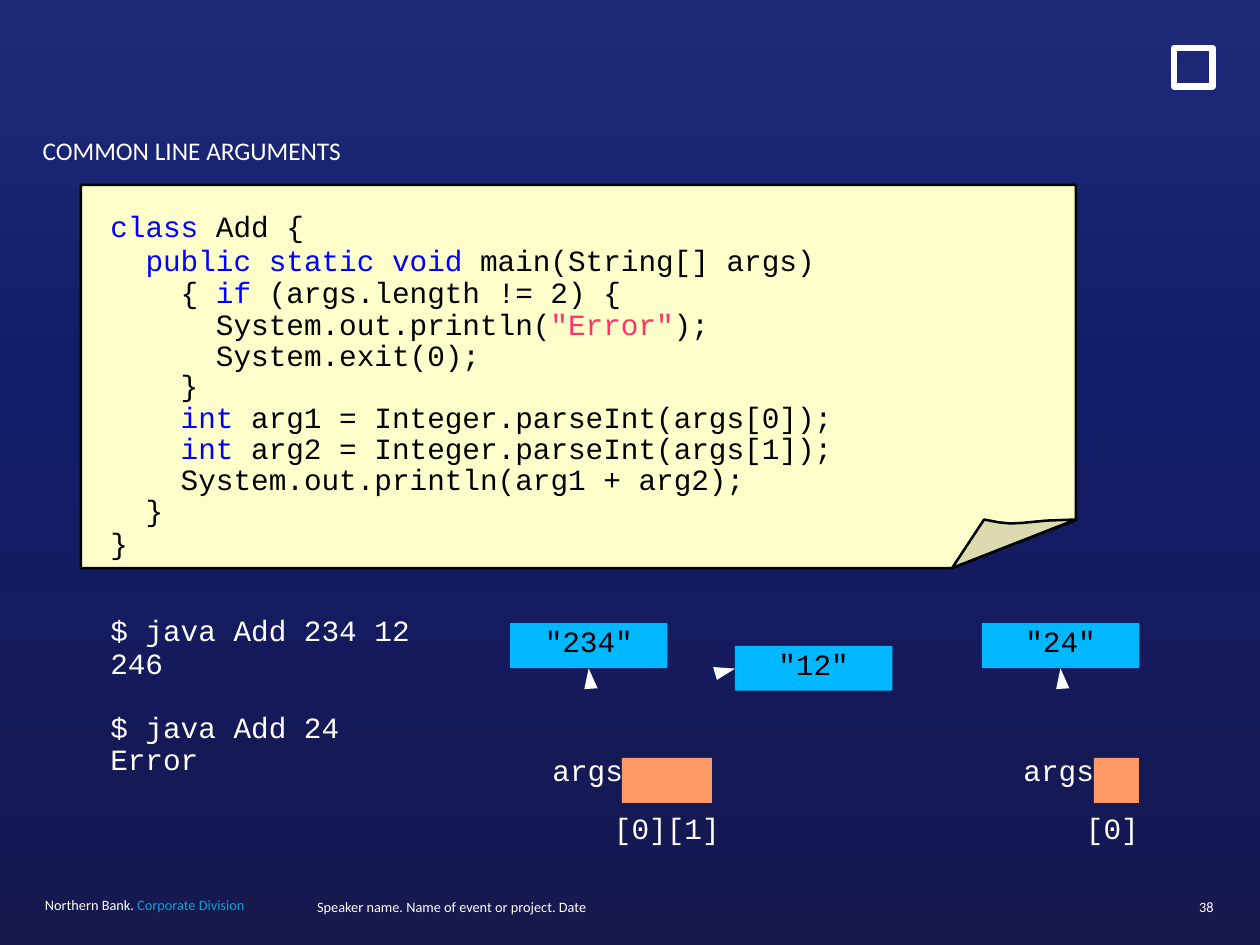
from copy import deepcopy
from pptx import Presentation
from pptx.dml.color import RGBColor
from pptx.enum.shapes import MSO_SHAPE
from pptx.enum.text import MSO_ANCHOR, PP_ALIGN
from pptx.util import Pt

WHITE = RGBColor(0xFF, 0xFF, 0xFF)
BLACK = RGBColor(0x00, 0x00, 0x00)
KEYWORD = RGBColor(0x00, 0x00, 0xFF)
STRING = RGBColor(0xFF, 0x33, 0x66)
LIGHT_BLUE = RGBColor(0x00, 0xA3, 0xE0)
PAPER = RGBColor(0xFF, 0xFF, 0xCC)
FOLD = RGBColor(0xDB, 0xDB, 0xAF)
VALUE = RGBColor(0x00, 0xB8, 0xFF)
CELL = RGBColor(0xFF, 0x99, 0x66)
BACKGROUND = [
    (0, RGBColor(0x16, 0x18, 0x4E)),
    (0.6, RGBColor(0x12, 0x1D, 0x69)),
    (1, RGBColor(0x1E, 0x2A, 0x78)),
]
SANS, MONO = "Calibri", "Courier New"
CODE_SIZE = 18.5
CELL_SIZE = 28.35

TITLE = "COMMON LINE ARGUMENTS"
CODE = [
    (20, [("class ", KEYWORD), ("Add {", BLACK)]),
    (21.3, [("  public static void ", KEYWORD), ("main(String[] args)", BLACK)]),
    (19.9, [("    { ", BLACK), ("if ", KEYWORD), ("(args.length != 2) {", BLACK)]),
    (20, [("      System.out.println(", BLACK), ('"Error"', STRING), (");", BLACK)]),
    (19.9, [("      System.exit(0);", BLACK)]),
    (18.5, [("    }", BLACK)]),
    (20.2, [("    int ", KEYWORD), ("arg1 = Integer.parseInt(args[0]);", BLACK)]),
    (19.7, [("    int ", KEYWORD), ("arg2 = Integer.parseInt(args[1]);", BLACK)]),
    (19.7, [("    System.out.println(arg1 + arg2);", BLACK)]),
    (19.2, [("  }", BLACK)]),
    (20.8, [("}", BLACK)]),
]
SESSIONS = [
    (386.6, 21.1, ["$ java Add 234 12", "246"]),
    (449, 20, ["$ java Add 24", "Error"]),
]
FOOTER = [("Northern Bank. ", WHITE), ("Corporate Division", LIGHT_BLUE)]
EVENT = "Speaker name. Name of event or project. Date"
PAGE = "38"

PAGE_OUTLINE = [(677.7, 327.6), (677.7, 116.5), (51, 116.5), (51, 357.8), (599.8, 357.8)]
FOLD_OUTLINE = [(677.7, 327.3), (659, 328), (644.4, 329.4), (636.5, 329.8),
                (629.3, 329.1), (619.9, 327.3), (599.8, 357.8)]
ARRAYS = [(391.8, 347.3, "[0][1]"), (689.1, 644, "[0]")]
VALUES = [('"234"', 321.3, 392.6), ('"12"', 462.9, 406.8), ('"24"', 618.5, 392.6)]
ARROWHEADS = [
    [(376.4, 433.6), (370.8, 421), (368.1, 434.1)],
    [(463, 421.2), (449.2, 420.2), (451.6, 428.3)],
    [(673.6, 433.6), (668, 421), (665.3, 434.1)],
]

prs = Presentation()
prs.slide_width, prs.slide_height = Pt(793.7), Pt(595.28)
s = prs.slides.add_slide(prs.slide_layouts[6])


def fill_text(tf, lines, size, font, align=PP_ALIGN.LEFT):
    tf.margin_left = tf.margin_right = tf.margin_top = tf.margin_bottom = 0
    tf.vertical_anchor = MSO_ANCHOR.TOP
    for i, (spacing, line) in enumerate(lines):
        p = tf.add_paragraph() if i else tf.paragraphs[0]
        p.alignment = align
        p.font.size, p.font.name = Pt(size), font
        p.line_spacing = Pt(spacing) if spacing > 1 else spacing
        for text, color in line:
            r = p.add_run()
            r.text = text
            r.font.color.rgb = color


def add_text(x, y, w, h, lines, size=CODE_SIZE, font=MONO, align=PP_ALIGN.LEFT):
    sp = s.shapes.add_textbox(Pt(x), Pt(y), Pt(w), Pt(h))
    sp.text_frame.word_wrap = True
    fill_text(sp.text_frame, lines, size, font, align)


def paint(sp, color, outline=None, width=1.6):
    sp.shadow.inherit = False
    if color is None:
        sp.fill.background()
    else:
        sp.fill.solid()
        sp.fill.fore_color.rgb = color
    if outline is None:
        sp.line.fill.background()
    else:
        sp.line.color.rgb = outline
        sp.line.width = Pt(width)


def add_rect(x, y, w, h, color, *outline):
    sp = s.shapes.add_shape(MSO_SHAPE.RECTANGLE, Pt(x), Pt(y), Pt(w), Pt(h))
    paint(sp, color, *outline)
    return sp


def add_polygon(points, color, outline=None):
    corners = [(Pt(x), Pt(y)) for x, y in points]
    builder = s.shapes.build_freeform(*corners[0])
    builder.add_line_segments(corners[1:], close=True)
    paint(builder.convert_to_shape(), color, outline)


fill = s.background.fill
fill.gradient()
fill.gradient_angle = 90
first = fill.gradient_stops[0]._gs
first.addnext(deepcopy(first))
for stop, (position, color) in zip(fill.gradient_stops, BACKGROUND):
    stop.position = position
    stop.color.rgb = color

add_rect(739.5, 30.3, 24.3, 24.3, None, WHITE, 4)
add_text(26.9, 87.1, 681.8, 43.9, [(0.9, [(TITLE, WHITE)])], 16, SANS)

add_text(28.3, 566.4, 157, 14.2, [(9, FOOTER)], 9, SANS)
add_text(199.8, 567.9, 388.8, 14.2, [(9, [(EVENT, WHITE)])], 9, SANS)
add_text(737.3, 567.9, 27.2, 14.2, [(9, [(PAGE, WHITE)])], 9, SANS, PP_ALIGN.RIGHT)

add_polygon(PAGE_OUTLINE, PAPER, BLACK)
add_polygon(FOLD_OUTLINE, FOLD, BLACK)
add_text(69.5, 133.6, 500, 220, CODE)
for y, spacing, lines in SESSIONS:
    add_text(69.5, y, 210, 2 * spacing, [(spacing, [(line, WHITE)]) for line in lines])

for x, name_x, indexes in ARRAYS:
    add_rect(x, 477.4, CELL_SIZE * indexes.count("["), CELL_SIZE, CELL)
    add_text(name_x + 0.7, 473.7, 48, 24, [(1, [("args", WHITE)])])
    add_text(x - 5, 510.5, 75, 24, [(1, [(indexes, WHITE)])])
for text, x, y in VALUES:
    sp = add_rect(x, y, 99.2, CELL_SIZE, VALUE)
    fill_text(sp.text_frame, [(1, [(text, BLACK)])], CODE_SIZE, MONO, PP_ALIGN.CENTER)
for points in ARROWHEADS:
    add_polygon(points, WHITE)

prs.save("out.pptx")
